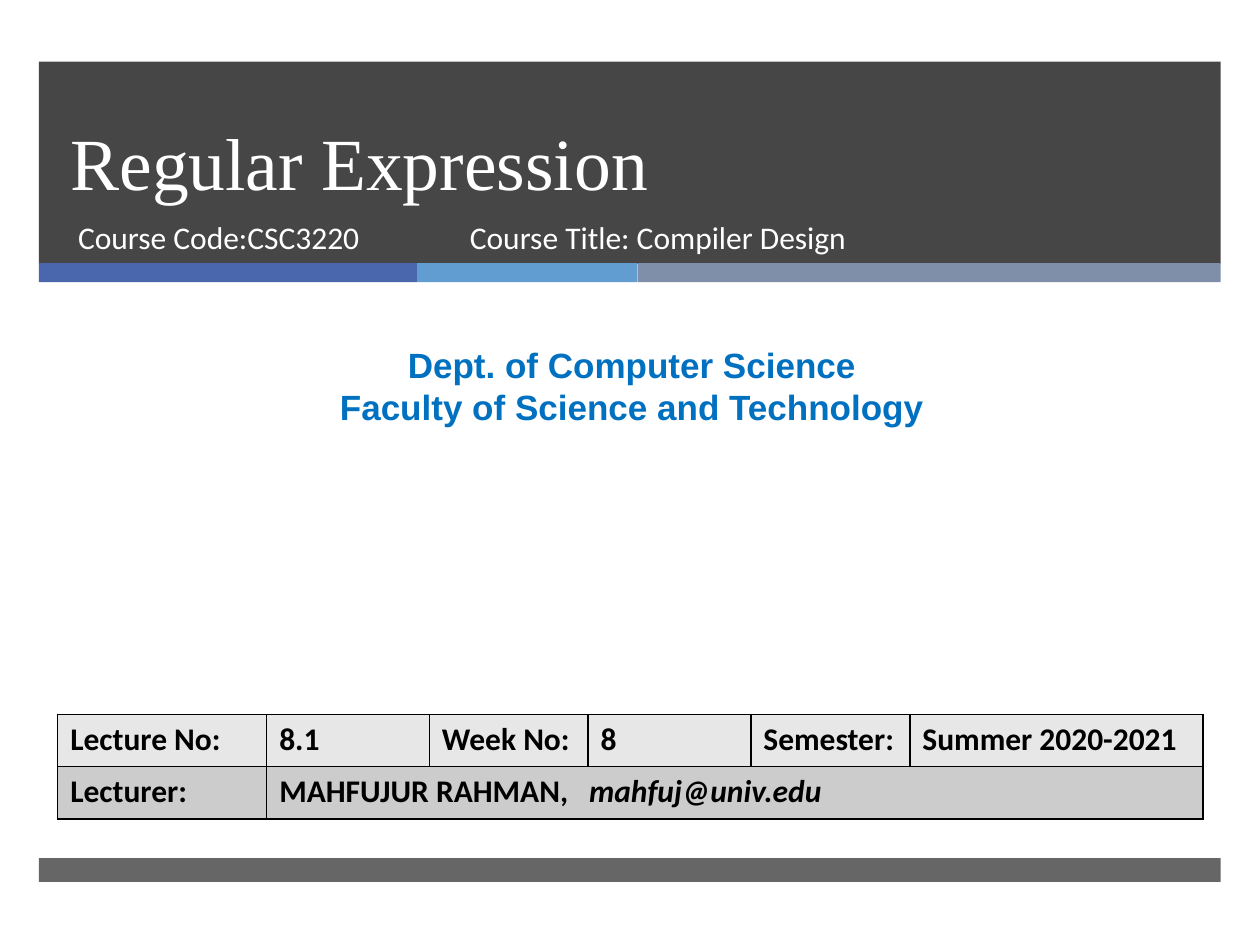
import pptx
import pptx.util
import pptx.dml.color
import pptx.enum.shapes
import pptx.enum.text
import pptx.oxml
import pptx.oxml.ns

Pt = pptx.util.Pt
ALIGN = pptx.enum.text.PP_ALIGN
ANCHOR = pptx.enum.text.MSO_ANCHOR
FIT = pptx.enum.text.MSO_AUTO_SIZE
NS = pptx.oxml.ns.nsdecls("a")

COURSE = {"name": "Calibri", "size": Pt(18), "color": "FFFFFF"}
TITLE = {"name": "Times New Roman", "size": Pt(42), "color": "FFFFFF"}
DEPT = {"name": "Arial", "size": Pt(20), "bold": True, "color": "0070C0"}
CELL = {"name": "Calibri", "size": Pt(18), "bold": True, "color": "000000"}


def rgb(color):
    return pptx.dml.color.RGBColor.from_string(color)


def xml(text):
    return pptx.oxml.parse_xml(text)


def set_attrs(obj, values):
    for key, value in values.items():
        setattr(obj, key, value)


def add_run(p, text, font):
    r = p.add_run()
    r.text = text
    set_attrs(r.font, {k: v for k, v in font.items() if k != "color"})
    r.font.color.rgb = rgb(font["color"])


def place(shape, left, top, width, height):
    set_attrs(shape, {"left": Pt(left), "top": Pt(top),
                      "width": Pt(width), "height": Pt(height)})


def write(shape, lines, font, align=ALIGN.LEFT, anchor=ANCHOR.TOP,
          fit=FIT.NONE, spacing=None):
    tf = shape.text_frame
    set_attrs(tf, {"word_wrap": True, "auto_size": fit, "vertical_anchor": anchor})
    for i, line in enumerate(lines):
        p = tf.add_paragraph() if i else tf.paragraphs[0]
        set_attrs(p, {"alignment": align, "space_before": Pt(0),
                      "line_spacing": spacing})
        add_run(p, line, font)


def add_bar(s, left, top, width, height, color, alpha=None):
    sp = s.shapes.add_shape(pptx.enum.shapes.MSO_SHAPE.RECTANGLE,
                            Pt(left), Pt(top), Pt(width), Pt(height))
    sp.shadow.inherit = False
    sp.line.fill.background()
    sp.fill.solid()
    sp.fill.fore_color.rgb = rgb(color)
    if alpha:
        clr = sp._element.spPr.find(".//" + pptx.oxml.ns.qn("a:srgbClr"))
        clr.append(xml(f'<a:alpha {NS} val="{alpha * 1000}"/>'))


def add_text(s, left, top, width, height, lines, font, **options):
    sp = s.shapes.add_textbox(Pt(left), Pt(top), Pt(width), Pt(height))
    write(sp, lines, font, **options)


def style_cell(cell, color):
    tcPr = cell._tc.get_or_add_tcPr()
    for side in ("lnL", "lnR", "lnT", "lnB"):
        tcPr.append(xml(f'<a:{side} {NS} w="12700"><a:solidFill>'
                        f'<a:srgbClr val="000000"/></a:solidFill></a:{side}>'))
    cell.fill.solid()
    cell.fill.fore_color.rgb = rgb(color)


def add_lecture_table(s, left, top, widths, row_height):
    rows = [["Lecture No:", "8.1", "Week No:", "8", "Semester:", "Summer 2020-2021"],
            ["Lecturer:", "MAHFUJUR RAHMAN,\t"]]
    table = s.shapes.add_table(2, len(widths), Pt(left), Pt(top),
                               Pt(sum(widths)), Pt(row_height * 2)).table
    for col, width in zip(table.columns, widths):
        col.width = Pt(width)
    for row, color in zip(table.rows, ("E7E7E7", "CCCCCC")):
        row.height = Pt(row_height)
        for cell in row.cells:
            style_cell(cell, color)
    lecturer = table.cell(1, 1)
    lecturer.merge(table.cell(1, len(widths) - 1))
    for i, texts in enumerate(rows):
        for j, text in enumerate(texts):
            add_run(table.cell(i, j).text_frame.paragraphs[0], text, CELL)

    # The address sits at a tab stop after the name
    p = lecturer.text_frame.paragraphs[0]
    p._p.get_or_add_pPr().append(
        xml(f'<a:tabLst {NS}><a:tab pos="{Pt(177)}" algn="l"/></a:tabLst>'))
    add_run(p, "mahfuj@univ.edu", {**CELL, "italic": True})


def main():
    prs = pptx.Presentation()
    set_attrs(prs, {"slide_width": Pt(720), "slide_height": Pt(540)})
    s = prs.slides.add_slide(prs.slide_layouts[0])

    # Header band, accent strip and footer band
    left, width = 22.3, 675.2
    add_bar(s, left, 35.2, width, 115.6, "262626", 85)
    x = left
    for w, color in ((216, "4A66AC"), (126, "629DD1"), (333.2, "7F8FA9")):
        add_bar(s, x, 150.4, w, 10.8, color)
        x += w
    add_bar(s, left, 490.3, width, 13.7, "262626", 70)

    # Title and course code, brought in front of the band
    title, code = s.shapes.title, s.placeholders[1]
    place(title, 33.1, 35.2, 615, 85.7)
    write(title, ["Regular Expression"], TITLE, anchor=ANCHOR.BOTTOM, spacing=Pt(46))
    place(code, 37.4, 121, 219.6, 38.2)
    write(code, ["Course Code:CSC3220"], COURSE)
    for sp in (title, code):
        s.shapes._spTree.append(sp._element)

    # Department and course title
    add_text(s, 5.8, 193, 710.6, 55.4,
             ["Dept. of Computer Science", "Faculty of Science and Technology"],
             DEPT, align=ALIGN.CENTER, fit=FIT.SHAPE_TO_FIT_TEXT)
    add_text(s, 261.4, 121, 327.6, 38.2, ["Course Title: Compiler Design"], COURSE)

    # Lecture details
    add_lecture_table(s, 33, 408.2, (119.4, 93, 90.7, 93, 90.9, 167.5), 29.9)
    prs.save("out.pptx")


main()
